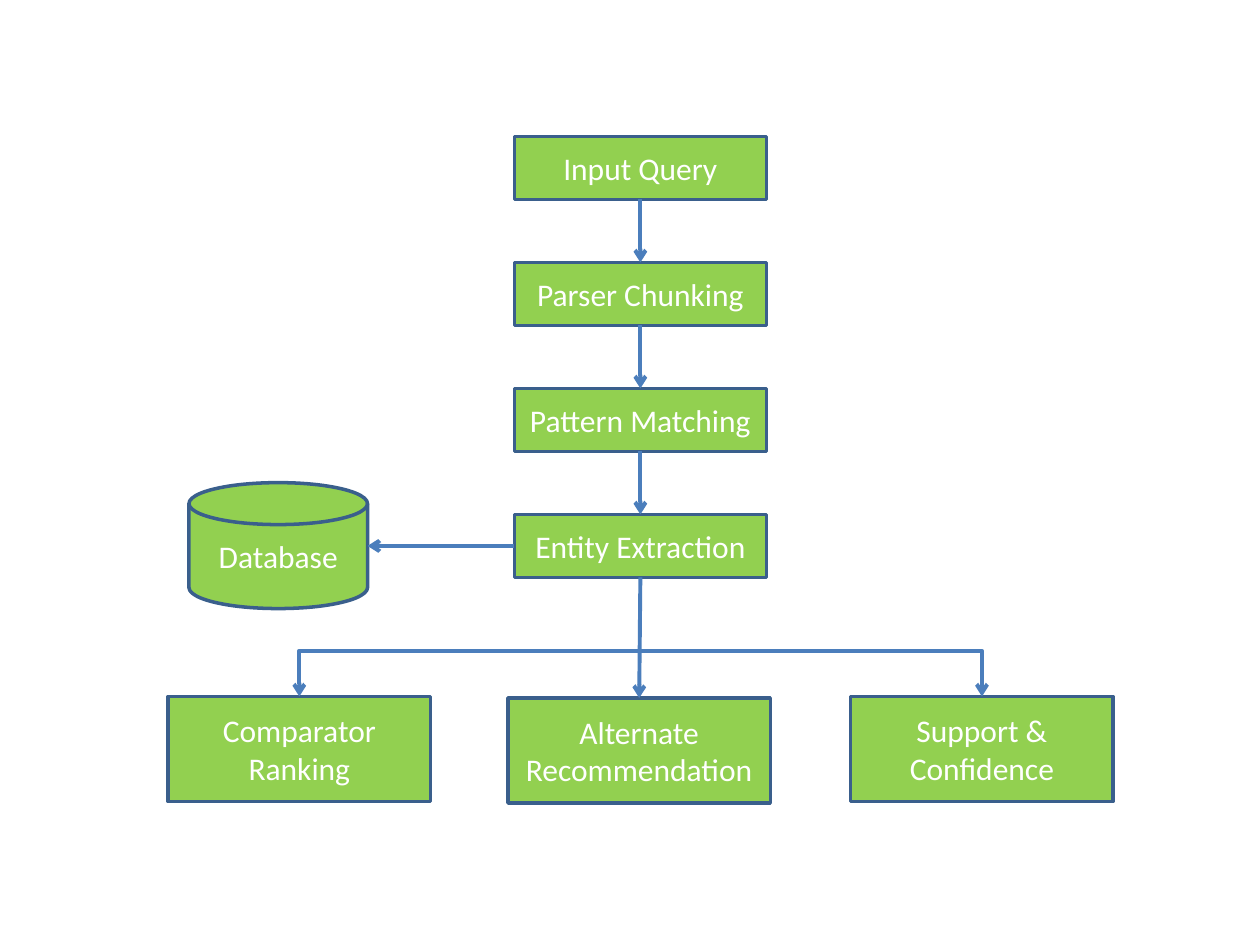
"""Build a flowchart slide of a query processing pipeline."""
from lxml.etree import SubElement
from pptx import Presentation
from pptx.dml.color import RGBColor
from pptx.enum.shapes import MSO_CONNECTOR, MSO_SHAPE
from pptx.enum.text import MSO_ANCHOR, PP_ALIGN
from pptx.oxml.ns import qn
from pptx.util import Cm, Pt


def paint(color_format, color):
    color_format.rgb = RGBColor.from_string(color)


def add_node(kind, label, left, top, width, height):
    node = slide.shapes.add_shape(kind, Cm(left), Cm(top), Cm(width), Cm(height))
    node.shadow.inherit = False
    node.fill.solid()
    paint(node.fill.fore_color, "92D050")
    paint(node.line.color, "3A5F8C")
    node.line.width = Pt(2)
    frame = node.text_frame
    frame.word_wrap = True
    frame.vertical_anchor = MSO_ANCHOR.MIDDLE
    paragraph = frame.paragraphs[0]
    paragraph.alignment = PP_ALIGN.CENTER
    run = paragraph.add_run()
    run.text = label
    run.font.name = "Calibri"
    run.font.size = Pt(18)
    paint(run.font.color, "FFFFFF")
    return node


presentation = Presentation()
presentation.slide_width = Cm(25.4)
presentation.slide_height = Cm(19.05)
slide = presentation.slides.add_slide(presentation.slide_layouts[6])

steps = [
    add_node(MSO_SHAPE.RECTANGLE, label, 10.37, 2.75 + 2.54 * row, 5.08, 1.27)
    for row, label in enumerate(
        ["Input Query", "Parser Chunking", "Pattern Matching", "Entity Extraction"]
    )
]
extraction = steps[-1]
comparator, alternate, support = [
    add_node(MSO_SHAPE.RECTANGLE, label, left, top, 5.29, 2.12)
    for label, left, top in [
        ("Comparator Ranking", 3.39, 14.04),
        ("Alternate Recommendation", 10.24, 14.07),
        ("Support & Confidence", 17.15, 14.04),
    ]
]
database = add_node(MSO_SHAPE.FLOWCHART_MAGNETIC_DISK, "Database", 3.81, 9.73, 3.6, 2.54)

arrows = []
flow = steps + [alternate]
for source, target in zip(flow, flow[1:]):
    arrow = slide.shapes.add_connector(MSO_CONNECTOR.STRAIGHT, 0, 0, 0, 0)
    arrow.begin_connect(source, 2)
    arrow.end_connect(target, 0)
    arrows.append(arrow)

branch_x = extraction.left + extraction.width // 2
for result in (support, comparator):
    branch = slide.shapes.add_connector(
        MSO_CONNECTOR.ELBOW, branch_x, Cm(13.12), result.left + result.width // 2, result.top
    )
    branch._element.spPr.find(qn("a:prstGeom")).set("prst", "bentConnector2")
    arrows.append(branch)

middle_y = extraction.top + extraction.height // 2
lookup = slide.shapes.add_connector(
    MSO_CONNECTOR.STRAIGHT, extraction.left, middle_y, database.left + database.width, middle_y
)
lookup.begin_connect(extraction, 1)
arrows.append(lookup)

for arrow in arrows:
    paint(arrow.line.color, "4B7EBC")
    arrow.line.width = Pt(2.25)
    SubElement(arrow.line._get_or_add_ln(), qn("a:tailEnd")).set("type", "arrow")
    SubElement(arrow._element.spPr, qn("a:effectLst"))

presentation.save("out.pptx")
